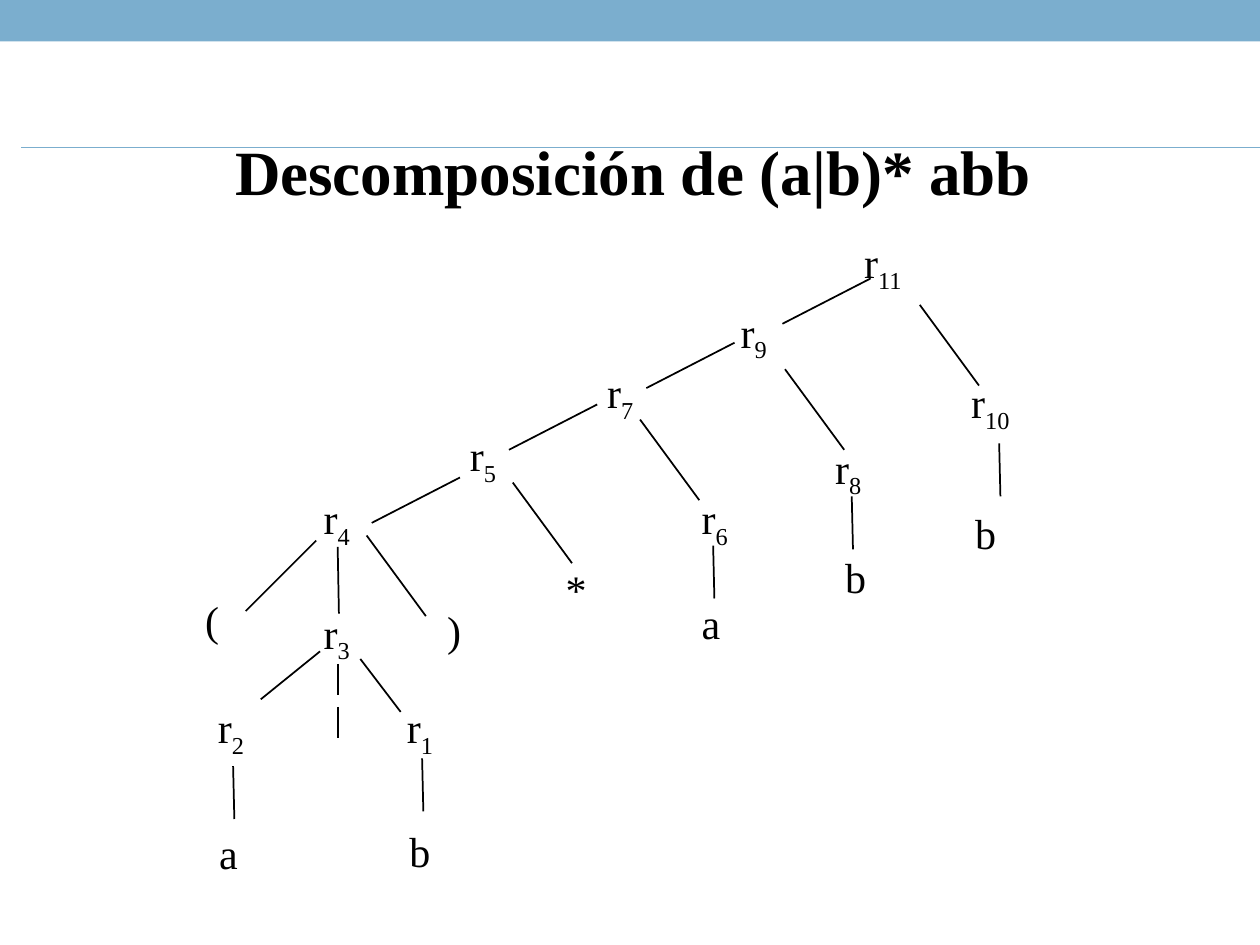
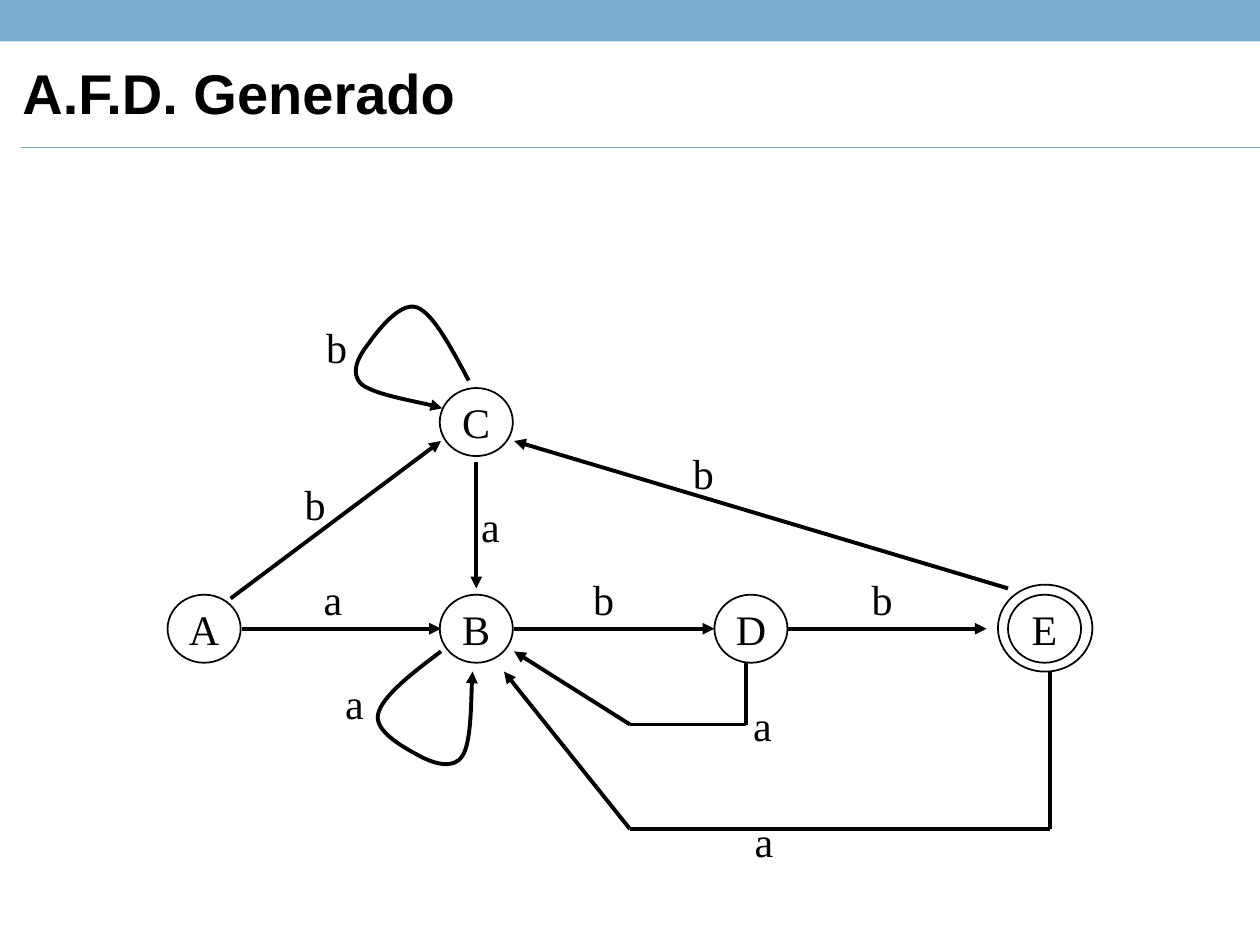
from pptx import Presentation
from pptx.dml.color import RGBColor
from pptx.enum.shapes import MSO_CONNECTOR, MSO_SHAPE
from pptx.enum.text import MSO_ANCHOR, MSO_AUTO_SIZE, PP_ALIGN
from pptx.oxml.ns import qn
from pptx.util import Inches, Pt
from lxml.etree import SubElement

# Shared look
BLUE = RGBColor(0x7B, 0xAE, 0xCE)
BLACK = RGBColor(0, 0, 0)
SERIF = "Times New Roman"
SANS = "Arial"
THIN, THICK = 1, 2.25

# Tree: labels with left, top and box width; "_" starts a subscript
NODES = [
    ("r_11", 6.76, 1.83, 0.63), ("r_10", 7.61, 2.94, 0.63),
    ("r_9", 5.78, 2.38, 0.51), ("r_8", 6.53, 3.46, 0.51),
    ("r_7", 4.72, 2.86, 0.51), ("r_6", 5.47, 3.86, 0.51),
    ("r_5", 3.63, 3.36, 0.51), ("r_4", 2.47, 3.86, 0.51),
    ("r_3", 2.47, 4.77, 0.51), ("r_2", 1.63, 5.52, 0.51),
    ("r_1", 3.13, 5.52, 0.51),
]
LEAVES = [
    ("(", 1.53, 4.67), (")", 3.45, 4.75), ("*", 4.39, 4.42),
    ("b", 7.64, 3.98), ("b", 6.61, 4.33), ("b", 3.15, 6.5),
    ("a", 1.64, 6.52), ("a", 5.47, 4.69),
]
# Tree: each step (across, down) with the upper ends it starts from
BRANCHES = [
    ((-0.7, 0.36), [(6.91, 2.21), (5.83, 2.72), (4.74, 3.21), (3.65, 3.79)]),
    ((0.47, 0.64), [(7.3, 2.42), (6.23, 2.93), (5.08, 3.33), (4.07, 3.83),
                    (2.91, 4.25)]),
    ((0.01, 0.42), [(7.93, 3.52), (6.76, 3.94), (5.66, 4.33), (3.35, 6.02),
                    (1.85, 6.08)]),
    ((0, 0.25), [(2.68, 5.27), (2.68, 5.61)]),
    ((-0.56, 0.56), [(2.51, 4.29)]),
    ((0.01, 0.53), [(2.68, 4.34)]),
    ((-0.47, 0.38), [(2.54, 5.17)]),
    ((0.32, 0.42), [(2.86, 5.23)]),
]

# Automaton: states, arrow routes, loops (Bézier points) and input labels
STATES = [("A", 1.33, 4.72), ("B", 3.49, 4.72), ("C", 3.49, 3.08),
          ("D", 5.67, 4.72), ("E", 8, 4.72)]
ROUTES = [
    [(1.92, 4.99), (3.5, 4.99)],
    [(4.08, 4.99), (5.67, 4.99)],
    [(6.25, 4.99), (7.83, 4.99)],
    [(3.78, 3.67), (3.78, 4.67)],
    [(1.83, 4.75), (3.5, 3.5)],
    [(8, 4.67), (4.08, 3.5)],
    [(8.33, 5.33), (8.33, 6.58), (5, 6.58), (4, 5.33)],
    [(5.92, 5.25), (5.92, 5.75), (5, 5.75), (4.08, 5.17)],
]
LOOPS = [
    [(3.5, 5.17), (3.26, 5.35), (3.03, 5.53), (3, 5.67), (2.97, 5.81),
     (3.22, 5.94), (3.33, 6), (3.44, 6.06), (3.6, 6.11), (3.67, 6),
     (3.74, 5.89), (3.74, 5.46), (3.75, 5.33)],
    [(3.72, 3.02), (3.58, 2.76), (3.44, 2.49), (3.31, 2.44), (3.18, 2.39),
     (3, 2.62), (2.93, 2.72), (2.85, 2.82), (2.77, 2.96), (2.87, 3.05),
     (2.97, 3.13), (3.39, 3.2), (3.51, 3.24)],
]
INPUTS = [
    ("a", 2.47, 4.5), ("b", 4.61, 4.5), ("b", 6.82, 4.5), ("b", 2.32, 3.75),
    ("b", 5.4, 3.5), ("a", 5.89, 6.42), ("a", 5.88, 5.5), ("a", 2.64, 5.33),
    ("a", 3.72, 3.92), ("b", 2.49, 2.5),
]


def write(frame, text, size=24, font=SERIF, bold=False, align=PP_ALIGN.LEFT,
          anchor=MSO_ANCHOR.TOP, wrap=False, space=1.0):
    """Set the text of a frame; what follows "_" is a subscript."""
    frame.word_wrap = wrap
    frame.vertical_anchor = anchor
    para = frame.paragraphs[0]
    para.alignment = align
    para.line_spacing = space
    base, _, sub = text.partition("_")
    for part in filter(None, (base, sub)):
        run = para.add_run()
        run.text = part
        run.font.size = Pt(size)
        run.font.name = font
        run.font.bold = bold
        run.font.color.rgb = BLACK
    if sub:
        run.font._element.set("baseline", "-25000")


def label(slide, text, x, y, w=0.4, h=0.5, **style):
    box = slide.shapes.add_textbox(Inches(x), Inches(y), Inches(w), Inches(h))
    write(box.text_frame, text, **style)
    return box


def tag(slide, text, x, y, w=0.4, h=0.5):
    box = label(slide, text, x, y, w, h)
    box.text_frame.auto_size = MSO_AUTO_SIZE.SHAPE_TO_FIT_TEXT


def stroke(line, color, width, arrow=False):
    line.color.rgb = color
    line.width = Pt(width)
    if arrow:
        SubElement(line._get_or_add_ln(), qn("a:tailEnd"), type="triangle")


def link(slide, start, end, color=BLACK, width=THIN, arrow=False):
    ends = [Inches(v) for v in (*start, *end)]
    line = slide.shapes.add_connector(MSO_CONNECTOR.STRAIGHT, *ends)
    stroke(line.line, color, width, arrow)
    SubElement(line._element.spPr, qn("a:effectLst"))


def route(slide, points):
    """Join the points with lines, the last one an arrow."""
    last = len(points) - 2
    for i, (start, end) in enumerate(zip(points, points[1:])):
        link(slide, start, end, width=THICK, arrow=i == last)


def loop(slide, points):
    """Draw a curved arrow: a start, then three points for each curve."""
    start, *rest = [(Inches(x), Inches(y)) for x, y in points]
    pen = slide.shapes.build_freeform(*start)
    pen.add_line_segments(rest, close=False)
    shape = pen.convert_to_shape()
    shape.shadow.inherit = False
    shape.fill.background()
    stroke(shape.line, BLACK, THICK, arrow=True)
    # Turn each three straight segments into one cubic curve
    outline = shape._element.find(".//" + qn("a:path"))
    steps = outline.findall(qn("a:lnTo"))
    for i in range(0, len(steps), 3):
        curve = SubElement(outline, qn("a:cubicBezTo"))
        for step in steps[i:i + 3]:
            curve.append(step[0])
            outline.remove(step)


def ring(slide, x, y, w=0.58, h=0.54, text=""):
    oval = slide.shapes.add_shape(MSO_SHAPE.OVAL, Inches(x), Inches(y),
                                  Inches(w), Inches(h))
    oval.shadow.inherit = False
    oval.fill.background()
    stroke(oval.line, BLACK, THIN)
    if text:
        write(oval.text_frame, text, align=PP_ALIGN.CENTER,
              anchor=MSO_ANCHOR.MIDDLE)


def new_slide(deck):
    """Add a blank slide with the top band and the title rule."""
    slide = deck.slides.add_slide(deck.slide_layouts[6])
    band = slide.shapes.add_shape(MSO_SHAPE.RECTANGLE, 0, 0,
                                  deck.slide_width, Inches(0.33))
    band.shadow.inherit = False
    band.fill.solid()
    band.fill.fore_color.rgb = BLUE
    band.line.fill.background()
    link(slide, (0.17, 1.17), (10, 1.17), color=BLUE)
    return slide


def draw_tree(deck):
    slide = new_slide(deck)
    label(slide, "Descomposición de (a|b)* abb", 1.58, 1, 6.89, 1.3,
          size=36, bold=True, align=PP_ALIGN.CENTER, wrap=True)
    for text, x, y, w in NODES:
        tag(slide, text, x, y, w, 0.56)
    for leaf in LEAVES:
        tag(slide, *leaf)
    for (across, down), starts in BRANCHES:
        for x, y in starts:
            link(slide, (x, y), (x + across, y + down))


def draw_states(deck):
    slide = new_slide(deck)
    label(slide, "A.F.D. Generado", 0.08, 0.35, 9.92, 0.83, size=32,
          font=SANS, bold=True, anchor=MSO_ANCHOR.MIDDLE, wrap=True, space=0.9)
    for name, x, y in STATES:
        ring(slide, x, y, text=name)
    ring(slide, 7.92, 4.64, 0.75, 0.69)  # outer ring of the final state
    for points in ROUTES:
        route(slide, points)
    for points in LOOPS:
        loop(slide, points)
    for item in INPUTS:
        tag(slide, *item)


def main():
    deck = Presentation()
    deck.slide_width, deck.slide_height = Inches(10), Inches(7.5)
    draw_tree(deck)
    draw_states(deck)
    deck.save("out.pptx")


if __name__ == "__main__":
    main()
